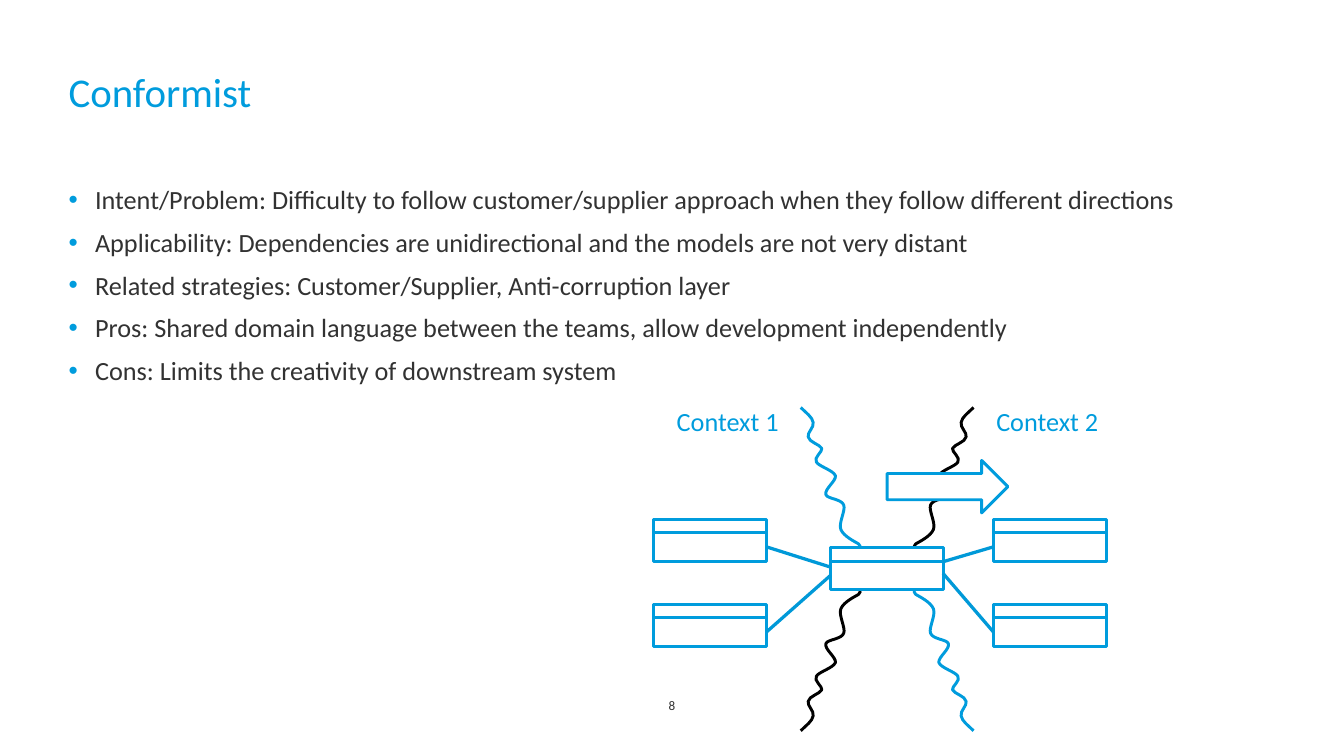
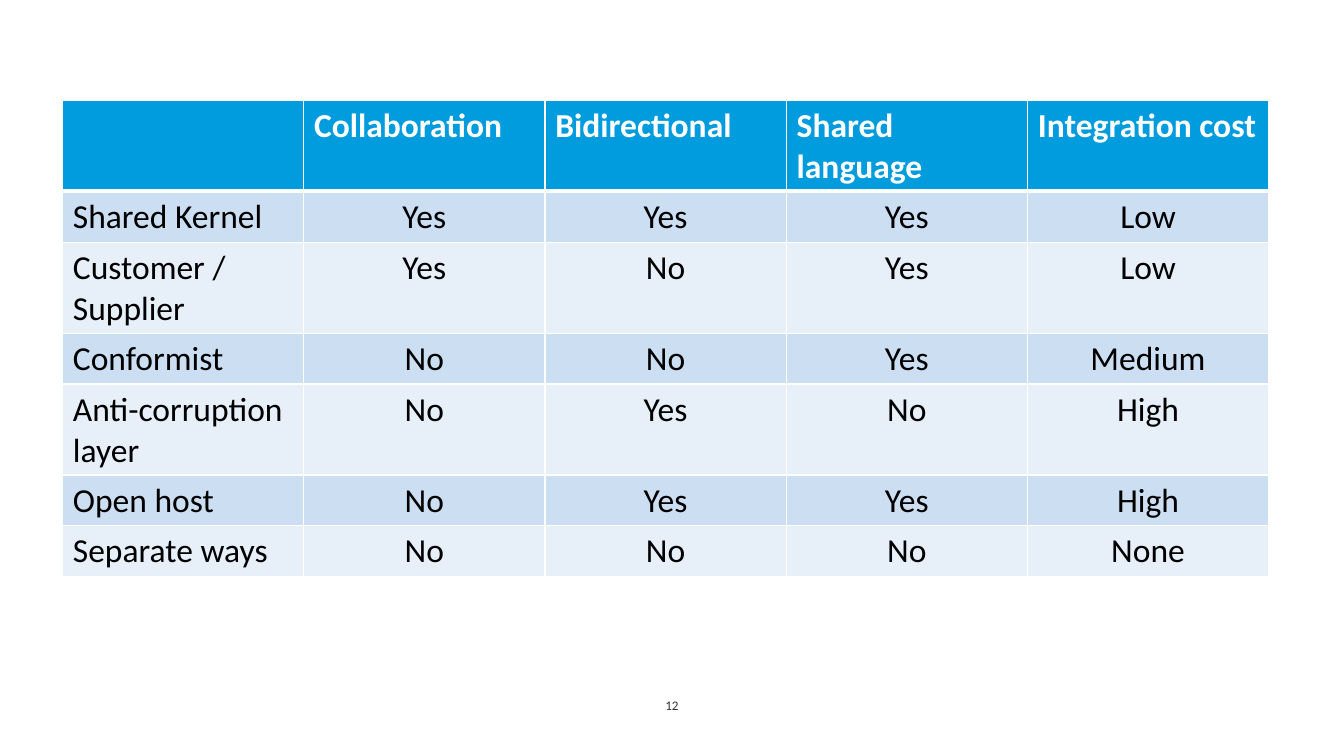
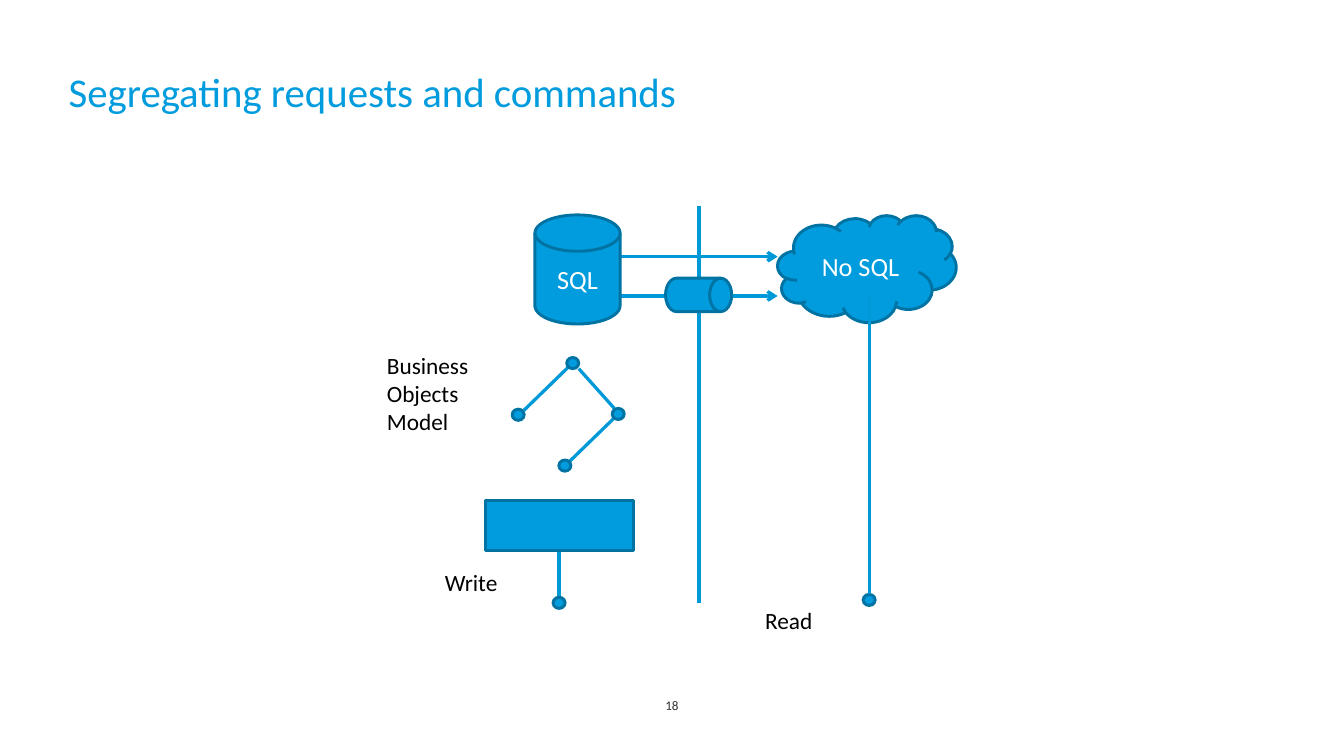
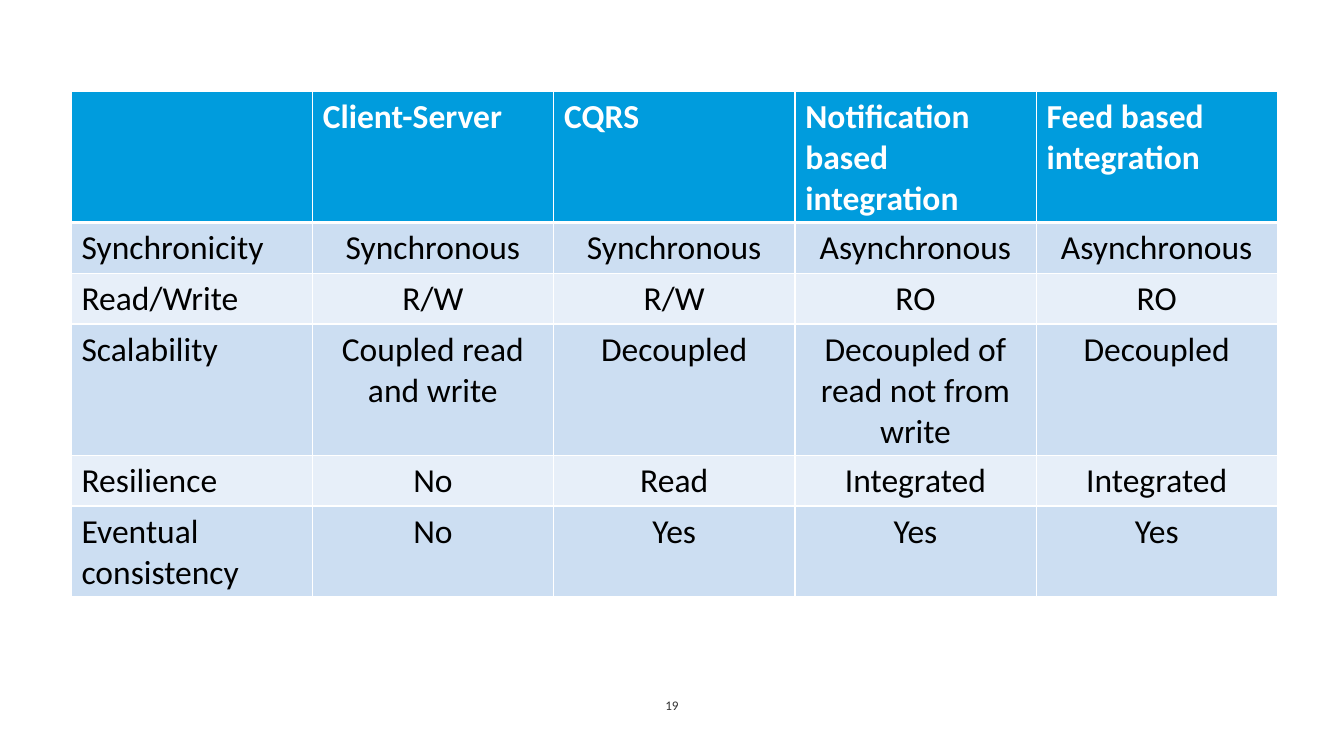
from lxml.etree import SubElement
from pptx import Presentation
from pptx.dml.color import RGBColor
from pptx.enum.shapes import MSO_CONNECTOR, MSO_SHAPE
from pptx.enum.text import MSO_ANCHOR, MSO_AUTO_SIZE, PP_ALIGN
from pptx.oxml.ns import qn
from pptx.util import Cm, Pt

FONT = "Calibri"
BLUE, LINK, EDGE = "009CDD", "0099D8", "0073A3"
WHITE, BLACK, GREY = "FFFFFF", "000000", "323232"
BANDS = ["E7EFF9", "CCDEF2"]
rgb = RGBColor.from_string

NO_INSETS = dict.fromkeys(
    ["margin_left", "margin_top", "margin_right", "margin_bottom"], 0)
TITLE_FRAME = {**NO_INSETS, "word_wrap": True, "vertical_anchor": MSO_ANCHOR.TOP,
               "auto_size": MSO_AUTO_SIZE.NONE}
PAGE_FRAME = {"word_wrap": True, "vertical_anchor": MSO_ANCHOR.BOTTOM,
              "margin_left": Cm(0.33), "margin_right": Cm(0.33),
              "margin_top": Cm(0.16), "margin_bottom": Cm(0.16)}
SPACED = {"alignment": PP_ALIGN.LEFT, "space_before": Pt(7.7)}
CENTRED = {"alignment": PP_ALIGN.CENTER}


def write(tf, lines, size, color, frame={}, para={}, bold=False):
    """Fill a text frame with one formatted paragraph per line."""
    for name, value in frame.items():
        setattr(tf, name, value)
    for i, line in enumerate(lines):
        p = tf.add_paragraph() if i else tf.paragraphs[0]
        for name, value in para.items():
            setattr(p, name, value)
        r = p.add_run()
        r.text = line
        r.font.color.rgb = rgb(color)
        for name, value in {"name": FONT, "size": Pt(size), "bold": bold}.items():
            setattr(r.font, name, value)


def join(s, lines, arrow=False):
    """Draw straight connectors, each given as x1, y1, x2, y2 in centimetres."""
    for ends in lines:
        c = s.shapes.add_connector(MSO_CONNECTOR.STRAIGHT, *map(Cm, ends))
        c.line.color.rgb = rgb(LINK)
        c.line.width = Pt(2.25)
        if arrow:
            SubElement(c.line._get_or_add_ln(), qn("a:tailEnd"), type="arrow")
        SubElement(c._element.spPr, qn("a:effectLst"))


prs = Presentation()
prs.slide_width, prs.slide_height = Cm(32.51), Cm(18.29)
TITLE_ONLY, BLANK = prs.slide_layouts[5], prs.slide_layouts[6]

# Slides with their titles and page numbers
slides = []
for number, title in [("8", "Conformist"), ("12", None),
                      ("18", "Segregating requests and commands"), ("19", None)]:
    s = prs.slides.add_slide(TITLE_ONLY if title else BLANK)
    slides.append(s)
    page = s.shapes.add_textbox(Cm(15.39), Cm(16.71), Cm(1.73), Cm(0.71))
    write(page.text_frame, [number], 9, GREY, PAGE_FRAME, CENTRED)
    if title:
        sp = s.shapes.title
        sp.left, sp.top, sp.width, sp.height = map(Cm, (1.66, 1.61, 29.18, 2.82))
        write(sp.text_frame, [title], 28, BLUE, TITLE_FRAME, SPACED)
conformist, strategies, segregation, integrations = slides

# Conformist: bullets
body = conformist.shapes.add_textbox(Cm(1.66), Cm(4.44), Cm(29.18), Cm(11.25))
write(body.text_frame, [
    "Intent/Problem: Difficulty to follow customer/supplier approach "
    "when they follow different directions",
    "Applicability: Dependencies are unidirectional and the models are not very distant",
    "Related strategies: Customer/Supplier, Anti-corruption layer",
    "Pros: Shared domain language between the teams, allow development independently",
    "Cons: Limits the creativity of downstream system",
], 18, GREY, TITLE_FRAME, SPACED)
for p in body.text_frame.paragraphs:
    pPr = p._p.get_or_add_pPr()
    pPr.set("marL", str(Cm(0.64)))
    pPr.set("indent", str(-Cm(0.64)))
    SubElement(SubElement(pPr, qn("a:buClr")), qn("a:srgbClr"), val=BLUE)
    SubElement(pPr, qn("a:buFont"), typeface="Arial")
    SubElement(pPr, qn("a:buChar"), char="•")

# Conformist: one wavy border of cubic curves, mirrored around the diagram centre
CENTRE_X, CENTRE_Y = 21.46, 13.77
WAVE_X, WAVE_Y = 2.09, 3.91
WAVE = [
    (0, 0),
    (0.13, 0.13), (0.28, 0.23), (0.3, 0.36),
    (0.33, 0.48), (0.15, 0.61), (0.18, 0.71),
    (0.2, 0.84), (0.46, 0.89), (0.51, 0.99),
    (0.53, 1.07), (0.3, 1.22), (0.38, 1.32),
    (0.43, 1.42), (0.79, 1.52), (0.84, 1.65),
    (0.86, 1.78), (0.56, 1.98), (0.61, 2.11),
    (0.64, 2.21), (0.99, 2.21), (1.04, 2.36),
    (1.09, 2.49), (0.91, 2.79), (0.97, 2.95),
    (1.04, 3.12), (1.32, 3.25), (1.4, 3.3),
    (1.45, 3.38), (1.45, 3.38), (1.42, 3.38),
]
for side_x, side_y, color in [(-1, -1, BLUE), (1, -1, BLACK),
                              (1, 1, BLUE), (-1, 1, BLACK)]:
    points = [(Cm(CENTRE_X + side_x * (WAVE_X - x)),
               Cm(CENTRE_Y + side_y * (WAVE_Y - y))) for x, y in WAVE]
    builder = conformist.shapes.build_freeform(*points[0])
    builder.add_line_segments(points[1:], close=False)
    border = builder.convert_to_shape()
    outline = next(border._element.iter(qn("a:path")))
    segments = outline.findall(qn("a:lnTo"))
    for i in range(0, len(segments), 3):
        curve = SubElement(outline, qn("a:cubicBezTo"))
        for segment in segments[i:i + 3]:
            curve.append(segment[0])
            outline.remove(segment)
    border.shadow.inherit = False
    border.fill.background()
    border.line.color.rgb = rgb(color)
    border.line.width = Pt(2)

# Segregation: divider, tree of objects, write access and transfers
join(segregation, [(16.91, 14.58, 16.91, 4.98), (13.52, 14.43, 13.52, 13.34),
                   (12.67, 9.93, 13.79, 8.84), (14.86, 9.88, 14, 8.92),
                   (13.74, 11.2, 14.86, 10.11)])
join(segregation, [(15, y, 18.81, y) for y in (6.21, 7.16)], arrow=True)

# Shapes of both diagrams: slide, kind, box, fill, line colour, text
shapes = [(conformist, MSO_SHAPE.RIGHT_ARROW, (21.46, 11.14, 2.92, 1.27),
           WHITE, BLUE, None)]
for x, y in [(20.09, 13.25), (15.81, 12.56), (24.03, 12.56),
             (15.81, 14.62), (24.03, 14.62)]:
    for top, height in [(y, 0.33), (y + 0.33, 0.69)]:
        shapes.append((conformist, MSO_SHAPE.RECTANGLE, (x, top, 2.74, height),
                       None, BLUE, None))
for kind, box, text in [
    (MSO_SHAPE.FLOWCHART_MAGNETIC_DISK, (12.94, 5.2, 2.06, 2.64), "SQL"),
    (MSO_SHAPE.CLOUD, (18.81, 5.21, 4.32, 2.59), "No SQL"),
    (MSO_SHAPE.FLOWCHART_DIRECT_ACCESS_STORAGE, (16.1, 6.73, 1.6, 0.81), None),
    (MSO_SHAPE.RECTANGLE, (11.74, 12.11, 3.58, 1.22), None),
]:
    shapes.append((segregation, kind, box, BLUE, EDGE, text))
for x, y in [(13.38, 14.45), (12.39, 9.9), (13.52, 11.13),
             (13.71, 8.65), (14.81, 9.88), (20.88, 14.38)]:
    shapes.append((segregation, MSO_SHAPE.OVAL, (x, y, 0.29, 0.27), BLUE, EDGE, None))

for s, kind, box, fill, edge, text in shapes:
    sp = s.shapes.add_shape(kind, *map(Cm, box))
    sp.shadow.inherit = False
    if fill:
        sp.fill.solid()
        sp.fill.fore_color.rgb = rgb(fill)
    else:
        sp.fill.background()
    sp.line.color.rgb = rgb(edge)
    sp.line.width = Pt(2)
    if text:
        write(sp.text_frame, [text], 18, WHITE,
              {"vertical_anchor": MSO_ANCHOR.MIDDLE}, CENTRED)

# Links that end on shapes
join(conformist, [(18.54, 13.23, 20.09, 13.72), (18.54, 15.29, 20.09, 13.92),
                  (24.03, 15.29, 22.81, 13.87), (24.03, 13.23, 22.81, 13.59)])
join(segregation, [(21.03, 14.37, 21.03, 7.16)])

# Labels of both diagrams
for s, text, box, size, color, wrap in [
    (conformist, "Context 1", (16.12, 9.68, 3, 0.64), 18, BLUE, False),
    (conformist, "Context 2", (23.85, 9.68, 3.07, 0.64), 18, BLUE, False),
    (segregation, "Read", (18.26, 14.53, 2.18, 0.94), 16, BLACK, True),
    (segregation, "Write", (10.51, 13.63, 2.72, 1.14), 16, BLACK, True),
    (segregation, "Business Objects Model", (9.11, 8.38, 3.28, 2.84), 16, BLACK, True),
]:
    label = s.shapes.add_textbox(*map(Cm, box))
    write(label.text_frame, [text], size, color, {"word_wrap": wrap})

# Comparison tables
STRATEGY_ROWS = [
    ["", "Collaboration", "Bidirectional", "Shared language", "Integration cost"],
    ["Shared Kernel", "Yes", "Yes", "Yes", "Low"],
    ["Customer / Supplier", "Yes", "No", "Yes", "Low"],
    ["Conformist", "No", "No", "Yes", "Medium"],
    ["Anti-corruption layer", "No", "Yes", "No", "High"],
    ["Open host", "No", "Yes", "Yes", "High"],
    ["Separate ways", "No", "No", "No", "None"],
]
INTEGRATION_ROWS = [
    ["", "Client-Server", "CQRS", "Notification based integration",
     "Feed based integration"],
    ["Synchronicity", "Synchronous", "Synchronous", "Asynchronous", "Asynchronous"],
    ["Read/Write", "R/W", "R/W", "RO", "RO"],
    ["Scalability", "Coupled read and write", "Decoupled",
     "Decoupled of read not from write", "Decoupled"],
    ["Resilience", "No", "Read", "Integrated", "Integrated"],
    ["Eventual consistency", "No", "Yes", "Yes", "Yes"],
]
for s, rows, left, top in [(strategies, STRATEGY_ROWS, 1.51, 2.43),
                           (integrations, INTEGRATION_ROWS, 1.72, 2.21)]:
    table = s.shapes.add_table(len(rows), len(rows[0]), Cm(left), Cm(top),
                               Cm(29.18), Cm(1.04 * len(rows))).table
    for i, row in enumerate(rows):
        for j, text in enumerate(row):
            cell = table.cell(i, j)
            cell.fill.solid()
            cell.fill.fore_color.rgb = rgb(BANDS[i % 2] if i else BLUE)
            if i == 0:
                tcPr = cell._tc.get_or_add_tcPr()
                rule = SubElement(tcPr, qn("a:lnB"), w=str(Pt(3)))
                SubElement(SubElement(rule, qn("a:solidFill")), qn("a:srgbClr"), val=WHITE)
                tcPr.insert(0, rule)
            if text:
                write(cell.text_frame, [text], 23, BLACK if i else WHITE,
                      para=CENTRED if i and j else {}, bold=i == 0)

prs.save("out.pptx")
